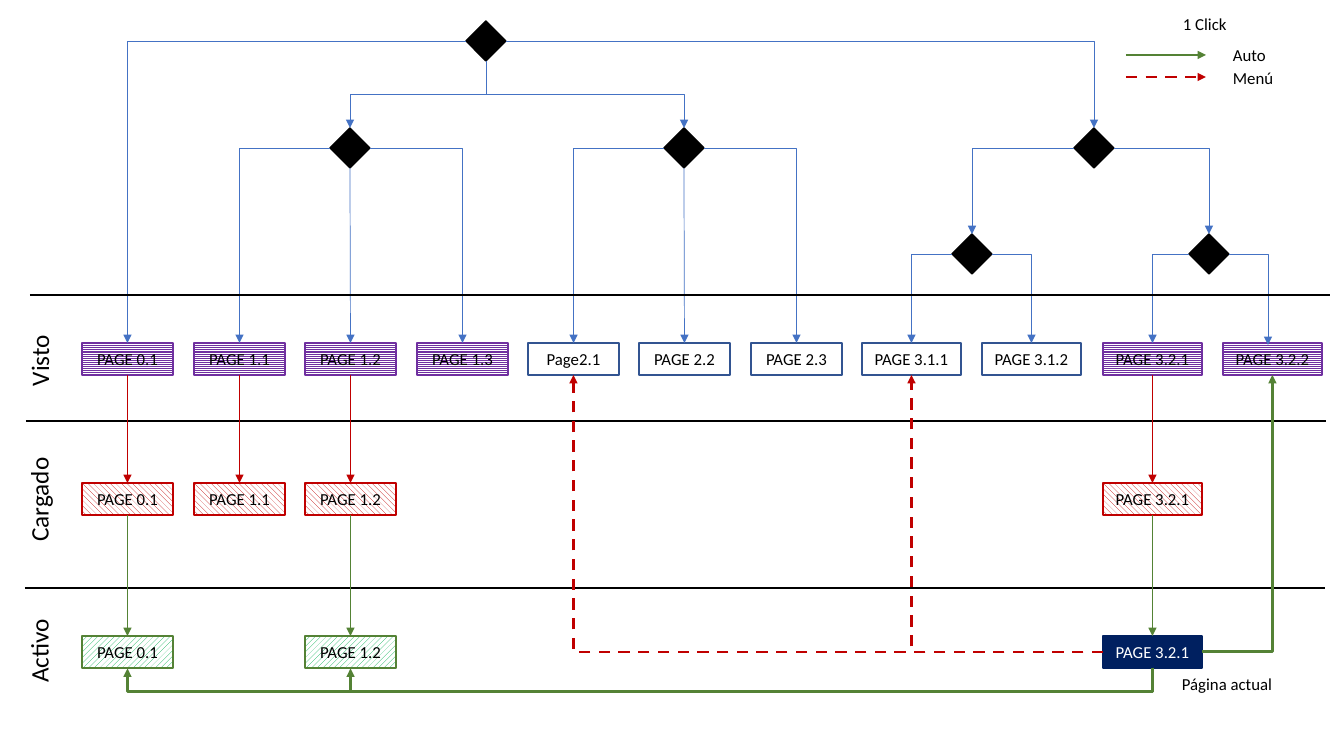
from pptx import Presentation
from pptx.dml.color import RGBColor
from pptx.enum.dml import MSO_LINE, MSO_PATTERN
from pptx.enum.shapes import MSO_CONNECTOR, MSO_SHAPE
from pptx.enum.text import MSO_ANCHOR, PP_ALIGN
from pptx.oxml.ns import qn
from pptx.util import Emu, Pt
from lxml import etree

RECTANGLE, DIAMOND = MSO_SHAPE.RECTANGLE, MSO_SHAPE.DIAMOND
STRAIGHT, ELBOW = MSO_CONNECTOR.STRAIGHT, MSO_CONNECTOR.ELBOW
DASH = MSO_LINE.DASH
CENTER, MIDDLE = PP_ALIGN.CENTER, MSO_ANCHOR.MIDDLE
TOP, LEFT, BOTTOM, RIGHT = range(4)
SITE_X, SITE_Y = (0.5, 0, 0.5, 1), (0, 0.5, 1, 0.5)
SCALE = 914400 / 100.8
FONT = "Calibri"
COLORS = {
    "black": "000000", "white": "FFFFFF", "blue": "4472C4", "outline": "325491",
    "purple": "7030A0", "red": "C00000", "green": "548235", "mint": "00B050",
    "navy": "002060",
}
PAGE_STYLES = {
    "seen": ("purple", "purple", MSO_PATTERN.LIGHT_HORIZONTAL),
    "unseen": ("outline", None, None),
    "loaded": ("red", "red", MSO_PATTERN.WIDE_DOWNWARD_DIAGONAL),
    "active": ("green", "mint", MSO_PATTERN.WIDE_UPWARD_DIAGONAL),
    "current": ("navy", "navy", None),
}


def px(value):
    return Emu(round(value * SCALE))


def color(name):
    return RGBColor.from_string(COLORS[name])


class SiteMap:
    def __init__(self, slide):
        self.shapes = slide.shapes

    def set_text(self, frame, text, size, ink):
        para = frame.paragraphs[0]
        para.text = text
        para.font.name, para.font.size = FONT, Pt(size)
        para.font.color.rgb = color(ink)
        return para

    def shape(self, kind, left, top, width, height, outline):
        shape = self.shapes.add_shape(kind, px(left), px(top), px(width), px(height))
        shape.shadow.inherit = False
        shape.line.color.rgb = color(outline)
        shape.line.width = Pt(1)
        return shape

    def decision(self, x, y):
        diamond = self.shape(DIAMOND, x - 20, y - 20, 40, 40, "black")
        diamond.fill.solid()
        diamond.fill.fore_color.rgb = color("black")
        return diamond

    def page(self, text, left, top, width, style):
        outline, fill, pattern = PAGE_STYLES[style]
        box = self.shape(RECTANGLE, left, top, width, 32, outline)
        if pattern:
            box.fill.patterned()
            box.fill.pattern = pattern
            box.fill.back_color.rgb = color("white")
        elif fill:
            box.fill.solid()
        else:
            box.fill.background()
        if fill:
            box.fill.fore_color.rgb = color(fill)
        box.text_frame.vertical_anchor = MIDDLE
        ink = "white" if style == "current" else "black"
        self.set_text(box.text_frame, text, 12, ink).alignment = CENTER
        return box

    def label(self, text, left, top, width, height=30, size=12, rotation=0):
        box = self.shapes.add_textbox(px(left), px(top), px(width), px(height))
        box.rotation = rotation
        box.text_frame.word_wrap = False
        self.set_text(box.text_frame, text, size, "black")

    def point(self, end):
        target, site = end
        if isinstance(target, int):
            return px(target), px(site)
        return (Emu(round(target.left + target.width * SITE_X[site])),
                Emu(round(target.top + target.height * SITE_Y[site])))

    def line(self, start, end, ink, width, kind=STRAIGHT, dash=None, arrow=True):
        link = self.shapes.add_connector(kind, *self.point(start), *self.point(end))
        for connect, (target, site) in ((link.begin_connect, start), (link.end_connect, end)):
            if not isinstance(target, int):
                connect(target, site)
        link.line.color.rgb = color(ink)
        link.line.width = Pt(width)
        if dash:
            link.line.dash_style = dash
        properties = link._element.spPr
        if arrow:
            etree.SubElement(properties.find(qn("a:ln")), qn("a:tailEnd"), type="triangle")
        etree.SubElement(properties, qn("a:effectLst"))
        return link

    def place(self, link, start, end, preset, turned, rotation, flip=None, bend=None):
        (x1, y1), (x2, y2) = self.point(start), self.point(end)
        across, down = abs(x2 - x1), abs(y2 - y1)
        width, height = (max(down, px(1)), across) if turned else (across, down)
        link.left = Emu((x1 + x2 - width) // 2)
        link.top = Emu((y1 + y2 - height) // 2)
        link.width, link.height = Emu(width), Emu(height)
        properties = link._element.spPr
        frame = properties.find(qn("a:xfrm"))
        for name in ("flipH", "flipV"):
            frame.attrib.pop(name, None)
        frame.set("rot", str(rotation * 60000))
        if flip:
            frame.set(flip, "1")
        geometry = properties.find(qn("a:prstGeom"))
        geometry.set("prst", preset)
        if bend:
            guides = geometry.find(qn("a:avLst"))
            etree.SubElement(guides, qn("a:gd"), name="adj1", fmla=f"val {bend}")

    def corner(self, start, end, ink="blue", width=0.5, dash=None):
        link = self.line(start, end, ink, width, ELBOW, dash)
        (x1, y1), (x2, y2) = self.point(start), self.point(end)
        flip = "flipV" if (x2 < x1) != (y2 < y1) else None
        self.place(link, start, end, "bentConnector2", False, 180 if x2 < x1 else 0, flip)

    def step(self, start, end, ink="blue", width=0.5, bend=50000):
        link = self.line(start, end, ink, width, ELBOW)
        leftward = self.point(end)[0] < self.point(start)[0]
        rotation, flip = (90, None) if leftward else (270, "flipH")
        self.place(link, start, end, "bentConnector3", True, rotation, flip, bend)


deck = Presentation()
deck.slide_width, deck.slide_height = px(1344), px(756)
site = SiteMap(deck.slides.add_slide(deck.slide_layouts[6]))

SEEN = {"0.1", "1.1", "1.2", "1.3", "3.2.1", "3.2.2"}
columns = {}
for index, number in enumerate(("0.1", "1.1", "1.2", "1.3", "2.1", "2.2", "2.3")):
    columns[number] = (round(82.4 + 111.4 * index), 91)
for index, number in enumerate(("3.1.1", "3.1.2", "3.2.1", "3.2.2")):
    columns[number] = (round(862 + 120.4 * index), 99)


def page_row(numbers, top, style_of):
    return {number: site.page("Page2.1" if number == "2.1" else f"PAGE {number}",
                              columns[number][0], top, columns[number][1], style_of(number))
            for number in numbers}


viewed = page_row(columns, 343, lambda number: "seen" if number in SEEN else "unseen")
loaded = page_row(("0.1", "1.1", "1.2", "3.2.1"), 483, lambda number: "loaded")
active = page_row(("0.1", "1.2", "3.2.1"), 636,
                  lambda number: "current" if number == "3.2.1" else "active")

root = site.decision(486, 41)
first, second, third = (site.decision(x, 148) for x in (350, 684, 1094))
third_left, third_right = (site.decision(x, 254) for x in (972, 1209))

for decision, left_target, right_target in (
    (root, viewed["0.1"], third),
    (first, viewed["1.1"], viewed["1.3"]),
    (second, viewed["2.1"], viewed["2.3"]),
    (third, third_left, third_right),
    (third_left, viewed["3.1.1"], viewed["3.1.2"]),
):
    site.corner((decision, LEFT), (left_target, TOP))
    site.corner((decision, RIGHT), (right_target, TOP))
site.corner((third_right, LEFT), (viewed["3.2.1"], TOP))
site.corner((third_right, RIGHT), (1268, 345))

for decision, number in ((first, "1.2"), (second, "2.2")):
    site.step((root, BOTTOM), (decision, TOP))
    site.line((decision, BOTTOM), (viewed[number], TOP), "blue", 0.5)

for left, y in ((26, 421), (25, 588), (30, 295)):
    site.line((left, y), (left + 1300, y), "black", 1, arrow=False)

for number, box in loaded.items():
    site.line((viewed[number], BOTTOM), (box, TOP), "red", 0.5)
    if number in active:
        site.line((box, BOTTOM), (active[number], TOP), "green", 1.25)

current = active["3.2.1"]
for number in ("1.2", "0.1"):
    site.step((current, BOTTOM), (active[number], BOTTOM), "green", 2, 2400000)
site.corner((current, RIGHT), (viewed["3.2.2"], BOTTOM), "green", 2)
for number in ("3.1.1", "2.1"):
    site.corner((current, LEFT), (viewed[number], BOTTOM), "red", 2, DASH)

for text, left, top, width in (("Visto", 3, 340, 72), ("Cargado", -14, 479, 105),
                               ("Activo", -5, 629, 87)):
    site.label(text, left, top, width, 40, 18, 270)

for y, ink, dash in ((55, "green", None), (77, "red", DASH)):
    site.line((1126, y), (1206, y), ink, 2, dash=dash)
for text, left, top, width in (("1 Click", 1173, 9, 65), ("Auto", 1223, 40, 53),
                               ("Menú", 1223, 63, 61), ("Página actual", 1172, 669, 112)):
    site.label(text, left, top, width)

deck.save("out.pptx")
